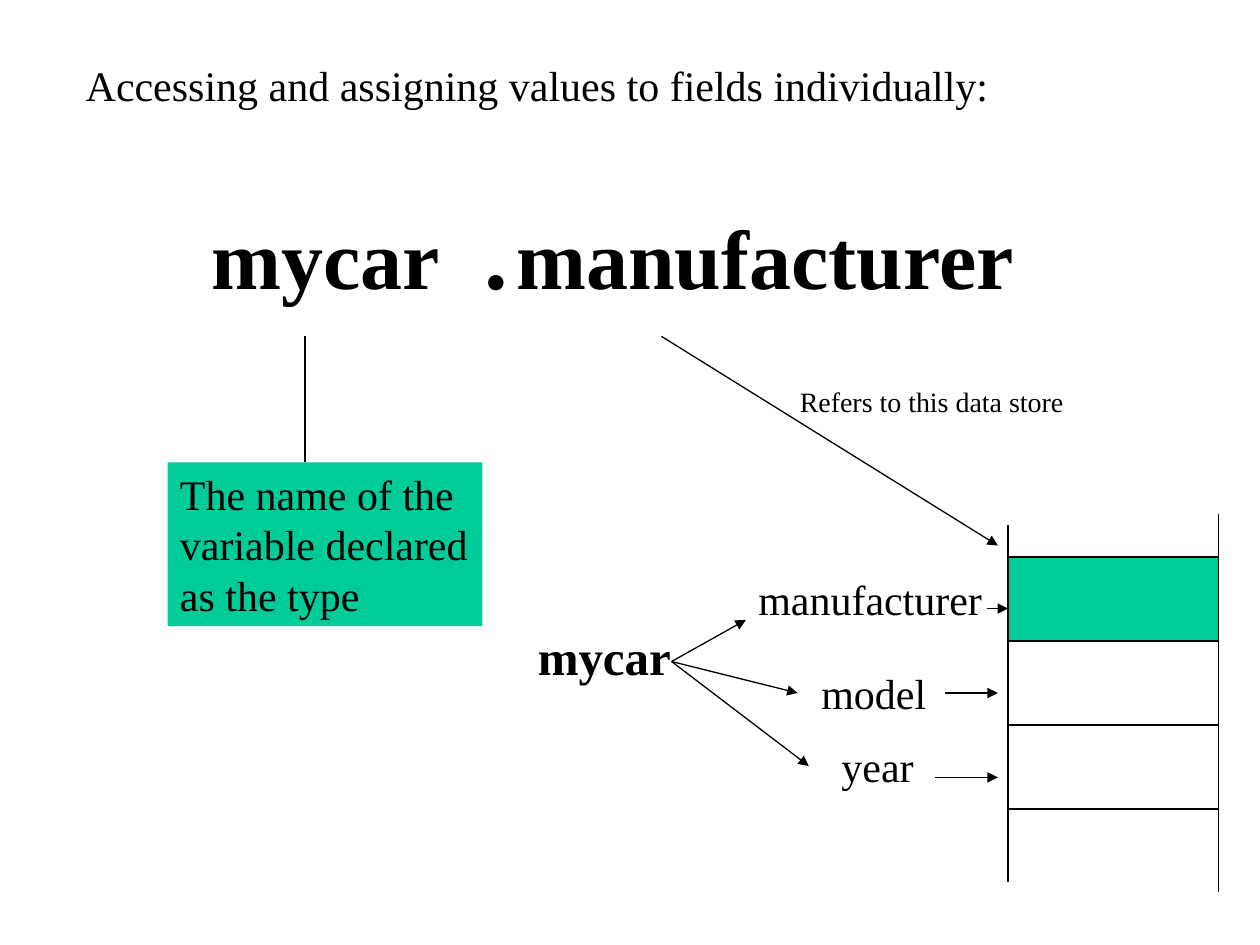
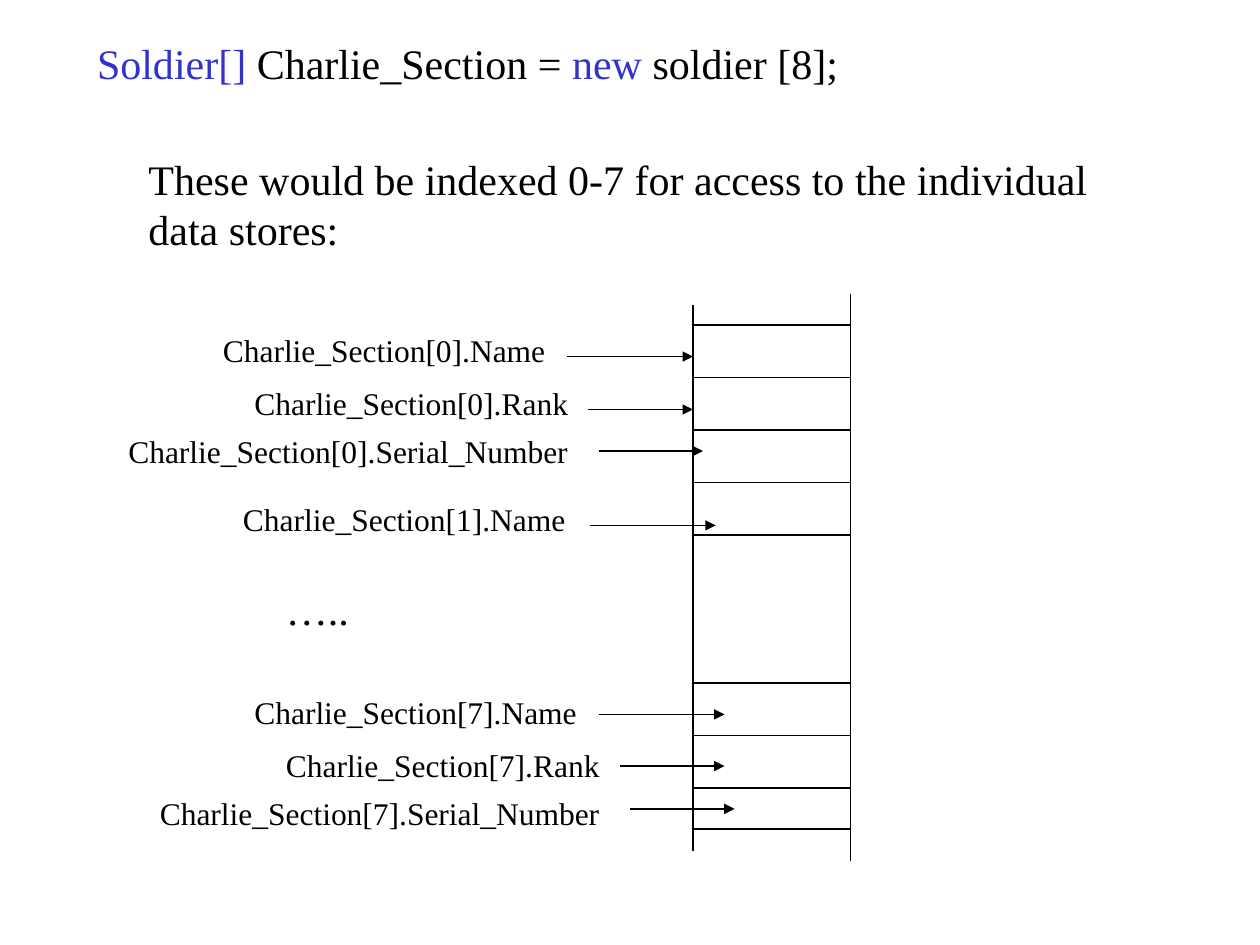
from lxml import etree
from pptx import Presentation
from pptx.dml.color import RGBColor
from pptx.enum.shapes import MSO_CONNECTOR, MSO_SHAPE
from pptx.enum.text import MSO_ANCHOR, MSO_AUTO_SIZE, PP_ALIGN
from pptx.oxml.ns import qn
from pptx.util import Inches, Pt

BLACK = RGBColor(0x00, 0x00, 0x00)
GREEN = RGBColor(0x00, 0xCC, 0x99)
BLUE = RGBColor(0x33, 0x33, 0xCC)
FONT = "Times New Roman"
LINE_WIDTH = Pt(0.75)
STRAIGHT = MSO_CONNECTOR.STRAIGHT
RECTANGLE = MSO_SHAPE.RECTANGLE
TOP = MSO_ANCHOR.TOP
LEFT = PP_ALIGN.LEFT
NO_AUTOFIT = MSO_AUTO_SIZE.NONE
TITLE_ONLY = 5


def write(shape, spans, size, bold=False):
    frame = shape.text_frame
    frame.word_wrap = True
    frame.auto_size = NO_AUTOFIT
    frame.vertical_anchor = TOP
    frame.margin_left = frame.margin_right = Inches(0.1)
    frame.margin_top = frame.margin_bottom = Inches(0.05)
    para = frame.paragraphs[0]
    para.alignment = LEFT
    for text, color in spans:
        span = para.add_run()
        span.text = text
        span.font.name = FONT
        span.font.size = Pt(size)
        span.font.bold = bold
        span.font.color.rgb = color


def add_page(deck, left, top, width, spans):
    page = deck.slides.add_slide(deck.slide_layouts[TITLE_ONLY])
    title = page.shapes.title
    title.left, title.top = Inches(left), Inches(top)
    title.width, title.height = Inches(width), Inches(0.5)
    write(title, spans, 24)
    return page


def add_label(page, text, left, top, width, height=0.5, size=24, bold=False):
    box = page.shapes.add_textbox(Inches(left), Inches(top), Inches(width), Inches(height))
    write(box, [(text, BLACK)], size, bold)


def add_box(page, left, top, width, height, outlined=False):
    box = page.shapes.add_shape(RECTANGLE, Inches(left), Inches(top), Inches(width), Inches(height))
    box.shadow.inherit = False
    box.fill.solid()
    box.fill.fore_color.rgb = GREEN
    if outlined:
        box.line.color.rgb = BLACK
        box.line.width = LINE_WIDTH
    else:
        box.line.fill.background()
    return box


def add_line(page, start, end):
    line = page.shapes.add_connector(STRAIGHT, *map(Inches, (*start, *end)))
    line.line.color.rgb = BLACK
    line.line.width = LINE_WIDTH
    etree.SubElement(line._element.spPr, qn("a:effectLst"))
    return line


def add_arrow(page, start, end):
    arrow = add_line(page, start, end)
    outline = arrow.line._get_or_add_ln()
    etree.SubElement(outline, qn("a:tailEnd"), type="triangle")


def add_store(page, left, right, left_span, right_span, dividers):
    for x, (top, bottom) in ((left, left_span), (right, right_span)):
        add_line(page, (x, top), (x, bottom))
    for y in dividers:
        add_line(page, (left, y), (right, y))


def build_field_access(deck):
    page = add_page(deck, 0.58, 0.42, 7.92,
                    [("Accessing and assigning values to fields individually:", BLACK)])
    add_label(page, "mycar", 1.58, 1.58, 2.5, 0.9, 48, True)
    add_label(page, "manufacturer", 4, 1.58, 4.5, 0.9, 48, True)
    add_label(page, ".", 3.75, 1.5, 0.42, 1, 54, True)

    add_line(page, (2.42, 2.67), (2.42, 3.67))
    variable_note = add_box(page, 1.33, 3.67, 2.5, 1.3)
    write(variable_note, [("The name of the variable declared as the type", BLACK)], 24)

    store_left, store_right, first_row, row_height = 8, 9.67, 4.42, 2 / 3
    add_store(page, store_left, store_right, (4.17, 7), (4.08, 7.08),
              [first_row + row * row_height for row in range(4)])
    add_box(page, store_left, first_row, store_right - store_left, row_height, outlined=True)

    add_label(page, "mycar", 4.17, 4.92, 1.33, 0.57, 28, True)
    fields = [
        ("manufacturer", 5.92, 4.5, 2, (5.92, 4.92), (7.83, 8), 4.83),
        ("model", 6.42, 5.25, 1.33, (6.33, 5.5), (7.5, 7.92), 5.5),
        ("year", 6.58, 5.83, 1, (6.42, 6.08), (7.42, 7.92), 6.17),
    ]
    for name, left, top, width, branch_end, (start, end), arrow_y in fields:
        add_label(page, name, left, top, width)
        add_arrow(page, (5.33, 5.25), branch_end)
        add_arrow(page, (start, arrow_y), (end, arrow_y))

    add_arrow(page, (5.25, 2.67), (7.92, 4.33))
    add_label(page, "Refers to this data store", 6.25, 3, 2.5, 0.37, 16)


def build_array_index(deck):
    page = add_page(deck, 0.67, 0.25, 6.42, [
        ("Soldier[] ", BLUE),
        ("Charlie_Section = ", BLACK),
        ("new", BLUE),
        (" soldier [8];", BLACK),
    ])
    add_label(page, "These would be indexed 0-7 for access to the individual data stores:",
              1.08, 1.17, 8.25, 0.9)

    row_height = 5 / 12
    first_rows = [2.58 + row * row_height for row in range(5)]
    last_rows = [5.42 + row * row_height for row in range(3)]
    add_store(page, 5.5, 6.75, (2.42, 6.75), (2.33, 6.83), first_rows + last_rows + [6.58])

    elements = [
        ("[0].Name", 1.67, 2.58, 2.92, 4.5, 5.5, 2.83),
        ("[0].Rank", 1.92, 3, 2.92, 4.67, 5.5, 3.25),
        ("[0].Serial_Number", 0.92, 3.38, 3.83, 4.75, 5.58, 3.58),
        ("[1].Name", 1.83, 3.92, 2.92, 4.68, 5.68, 4.17),
        ("[7].Name", 1.92, 5.45, 2.92, 4.75, 5.75, 5.67),
        ("[7].Rank", 2.17, 5.87, 2.92, 4.92, 5.75, 6.08),
        ("[7].Serial_Number", 1.17, 6.25, 3.83, 5, 5.83, 6.42),
    ]
    for member, left, top, width, start, end, arrow_y in elements:
        add_label(page, f"Charlie_Section{member}", left, top, width, 0.4, 18)
        add_arrow(page, (start, arrow_y), (end, arrow_y))
    add_label(page, "…..", 2.17, 4.58, 2.67)


def main():
    deck = Presentation()
    deck.slide_width = Inches(10)
    deck.slide_height = Inches(7.5)
    build_field_access(deck)
    build_array_index(deck)
    deck.save("out.pptx")


if __name__ == "__main__":
    main()
